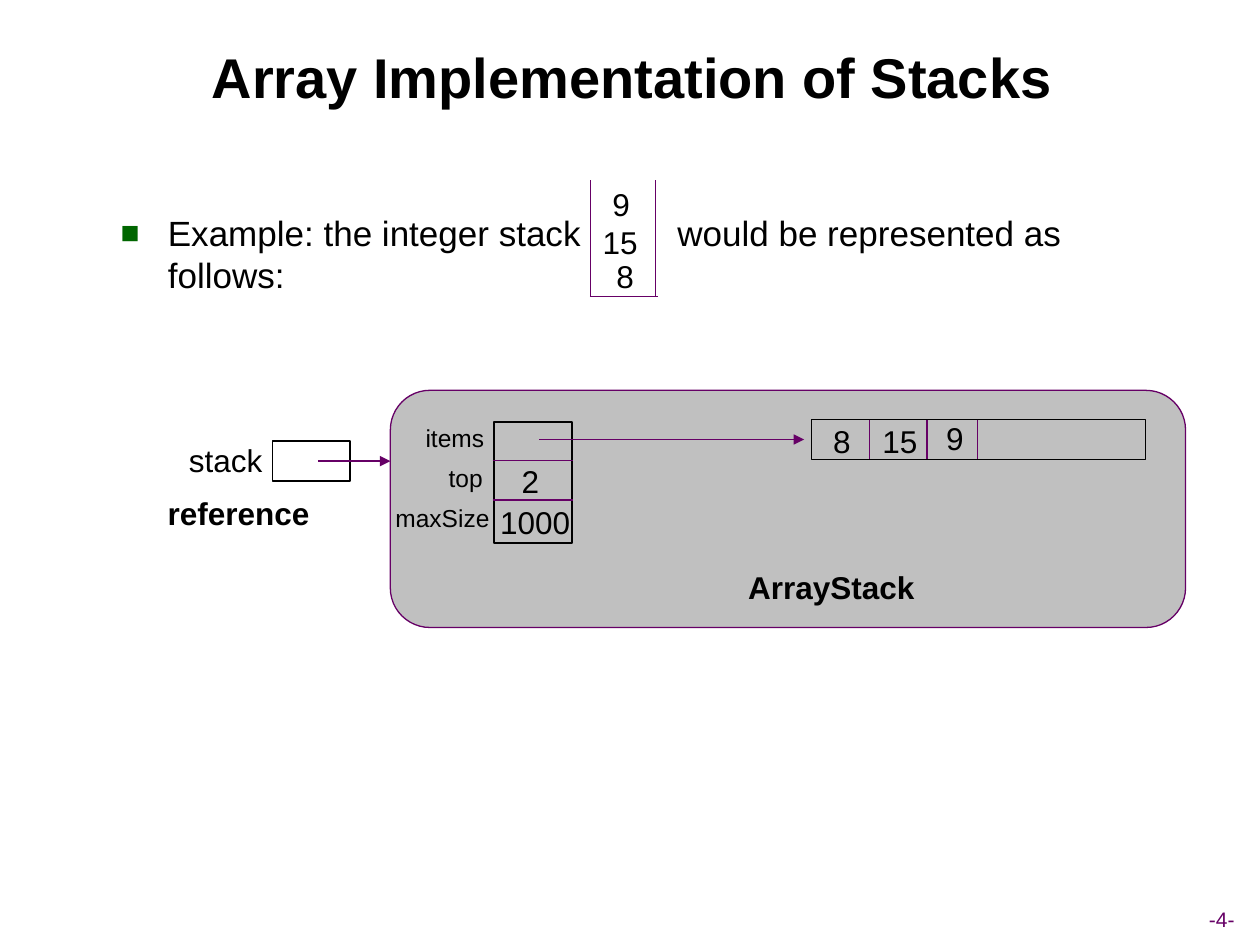
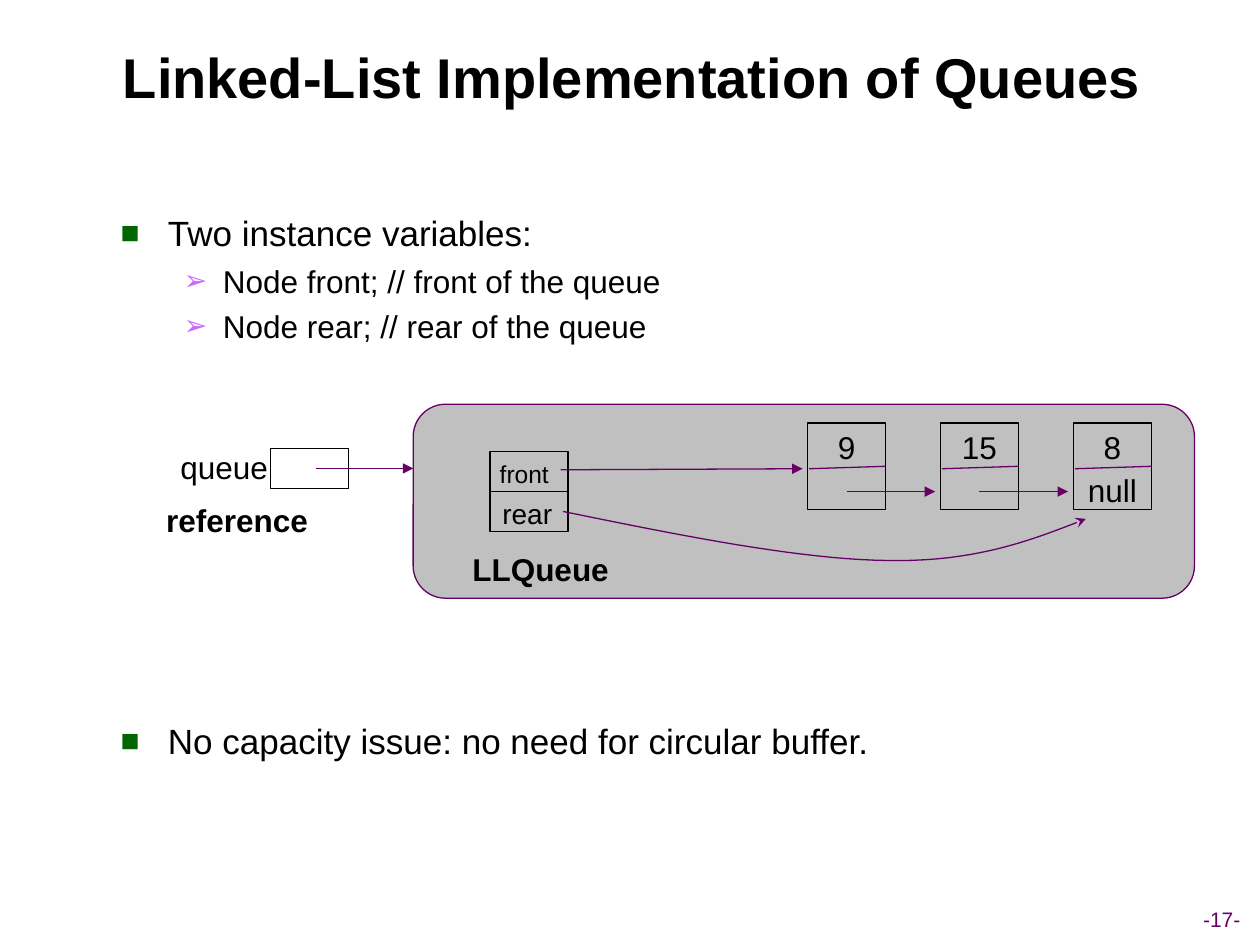
from dataclasses import dataclass

from lxml import etree
from pptx import Presentation
from pptx.dml.color import RGBColor
from pptx.enum import shapes, text
from pptx.oxml import ns
from pptx.util import Cm, Pt


@dataclass(frozen=True)
class Theme:
    font: str = "Arial"
    ink: str = "000000"
    accent: str = "660066"
    panel: str = "C0C0C0"
    title: int = 32
    label: int = 18
    field: int = 14
    page: int = 12
    line: float = 0.75


THEME = Theme()

# Per list level: size, space before, left margin, hanging indent, bullet, bullet colour
LEVELS = [
    (20, 5, 0.95, 0.95, "■", "006600"),
    (18, 4.5, 2.06, 0.79, "➢", "CC66FF"),
]

# Each list item: level, text, space before if not the usual one
STACK = {
    "title": "Array Implementation of Stacks",
    "page": "-4-",
    "items": [(0, "Example: the integer stack\twould be represented as follows:", None)],
    "panel": (7.87, 7.87, 16.03, 4.78),
    "ref": ("stack", 5.49, 8.89),
    "class": ("ArrayStack", 16.76, 11.33),
    "fields": [("items", 9.17), ("top", 9.39), ("maxSize", 8.92)],
    "values": [("2", 10.69, 9.19), ("1000", 10.79, 10.01)],
    "cells": [("8", 16.97, 8.38), ("15", 18.14, 8.38), ("9", 19.25, 8.33)],
    "splits": [17.53, 18.69, 19.71],
    "pile": [("9", 12.52, 3.61), ("15", 12.5, 4.37), ("8", 12.6, 5.05)],
}
QUEUE = {
    "title": "Linked-List Implementation of Queues",
    "page": "-17-",
    "items": [
        (0, "Two instance variables:", None),
        (1, "Node front; // front of the queue", None),
        (1, "Node rear; // rear of the queue", None),
        (0, "No capacity issue: no need for circular buffer.", 214),
    ],
    "panel": (8.33, 8.15, 15.75, 3.91),
    "ref": ("queue", 5.46, 9.04),
    "class": ("LLQueue", 10.9, 10.97),
    "fields": [("front", 10.57, 9.12, 14), ("rear", 10.63, 9.88, 16)],
    "nodes": ["9", "15", "8"],
    "curves": [
        [(11.35, 10.31), (13.74, 10.8), (16.13, 11.28), (17.91, 11.3)],
        [(17.91, 11.3), (19.66, 11.33), (20.78, 10.9), (21.89, 10.46)],
    ],
}
TAB = 11.22
BOX_W, BOX_H = 1.57, 0.81


def color(code):
    return RGBColor.from_string(code)


def add(parent, tag, **attrs):
    return etree.SubElement(parent, ns.qn(tag), attrs)


def style(par, size, tint=THEME.ink, bold=False):
    for run in par.runs:
        font = run.font
        font.name, font.size, font.bold = THEME.font, Pt(size), bold
        font.color.rgb = color(tint)


def place(shape, x, y, w, h):
    shape.left, shape.top, shape.width, shape.height = map(Cm, (x, y, w, h))


def stroke(shape, tint, head=None):
    shape.line.color.rgb = color(tint)
    shape.line.width = Pt(THEME.line)
    if head:
        add(shape.line._get_or_add_ln(), "a:tailEnd", type=head)


def line(slide, x1, y1, x2, y2, head=None):
    link = slide.shapes.add_connector(
        shapes.MSO_CONNECTOR.STRAIGHT, *map(Cm, (x1, y1, x2, y2)))
    stroke(link, THEME.accent, head)
    add(link._element.spPr, "a:effectLst")


def arrow(slide, *ends):
    line(slide, *ends, head="triangle")


def box(slide, x, y, w=BOX_W, h=BOX_H):
    rect = slide.shapes.add_shape(shapes.MSO_SHAPE.RECTANGLE, *map(Cm, (x, y, w, h)))
    rect.shadow.inherit = False
    rect.fill.background()
    stroke(rect, THEME.ink)


def label(slide, words, mid, top, size=THEME.label, bold=False, tint=THEME.ink):
    """Put one line of text centred on mid, in a box with room for the text."""
    wide, high = 0.6 + 0.025 * size * len(words), 0.26 + 0.0425 * size
    item = slide.shapes.add_textbox(*map(Cm, (mid - wide / 2, top, wide, high)))
    frame = item.text_frame
    frame.word_wrap = False
    frame.text = words
    par = frame.paragraphs[0]
    par.alignment = text.PP_ALIGN.CENTER
    style(par, size, tint, bold)


def bullet(par, level, gap):
    size, before, left, hang, mark, tint = LEVELS[level]
    par.level = level
    par.space_before = Pt(gap or before)
    style(par, size)
    props = par._p.get_or_add_pPr()
    props.set("marL", str(Cm(left)))
    props.set("indent", str(-Cm(hang)))
    add(add(props, "a:buClr"), "a:srgbClr", val=tint)
    add(props, "a:buSzPct", val="90000")
    add(props, "a:buFont", typeface=THEME.font)
    add(props, "a:buChar", char=mark)
    if "\t" in par.text:
        add(add(props, "a:tabLst"), "a:tab", pos=str(Cm(TAB)), algn="l")


def start(deck, data):
    """Add a slide with title, list, page number, panel and reference."""
    slide = deck.slides.add_slide(deck.slide_layouts[1])
    title, body = slide.placeholders
    place(title, 0.97, 0.33, 23.55, 2.41)
    title.text_frame.text = data["title"]
    title.text_frame.vertical_anchor = text.MSO_ANCHOR.MIDDLE
    title.text_frame.paragraphs[0].alignment = text.PP_ALIGN.CENTER
    style(title.text_frame.paragraphs[0], THEME.title, bold=True)

    place(body, 2.18, 4.14, 21.29, 13.34)
    frame = body.text_frame
    frame.auto_size = text.MSO_AUTO_SIZE.NONE
    frame.text = "\n".join(words for _, words, _ in data["items"])
    for par, (level, _, gap) in zip(frame.paragraphs, data["items"]):
        bullet(par, level, gap)

    label(slide, data["page"], 24.63, 18.16, THEME.page, tint=THEME.accent)

    panel = slide.shapes.add_shape(
        shapes.MSO_SHAPE.ROUNDED_RECTANGLE, *map(Cm, data["panel"]))
    panel.shadow.inherit = False
    panel.fill.solid()
    panel.fill.fore_color.rgb = color(THEME.panel)
    stroke(panel, THEME.accent)

    name, x, y = data["ref"]
    box(slide, x, y)
    label(slide, name, x - 0.94, y - 0.13)
    label(slide, "reference", x - 0.68, y + 0.94, bold=True)
    mid = y + BOX_H / 2
    arrow(slide, x + 0.92, mid, data["panel"][0], mid)
    label(slide, *data["class"], bold=True)
    return slide


def draw_stack(deck, data):
    slide = start(deck, data)
    x, y, row = 9.96, 8.51, 0.8
    box(slide, x, y, h=2.44)
    for i, (name, mid) in enumerate(data["fields"]):
        label(slide, name, mid, 8.41 + i * row, THEME.field)
        if i:
            edge = y - 0.03 + i * row
            line(slide, x - 0.03, edge, x + BOX_W + 0.03, edge)
    arrow(slide, 10.87, 8.86, 16.21, 8.86)

    box(slide, 16.36, 8.46, 6.73)
    for x in data["splits"]:
        line(slide, x, 8.46, x, 9.25)

    left, right, top, base = 11.91, 13.21, 3.63, 5.98
    for x in (left, right):
        line(slide, x, top, x, base)
    line(slide, left - 0.02, base, right + 0.05, base)
    for item in data["values"] + data["cells"] + data["pile"]:
        label(slide, *item)


def bezier(a, b, c, d, steps=20):
    for i in range(1, steps + 1):
        t = i / steps
        s = 1 - t
        yield tuple(Cm(s**3 * p + 3 * s * s * t * q + 3 * s * t * t * r + t**3 * e)
                    for p, q, r, e in zip(a, b, c, d))


def draw_queue(deck, data):
    slide = start(deck, data)
    for i, item in enumerate(data["fields"]):
        box(slide, 9.88, 9.1 + i * BOX_H)
        label(slide, *item)
    arrow(slide, 11.3, 9.47, 16.18, 9.45)

    x, y, pitch = 16.28, 8.53, 2.68
    last = len(data["nodes"]) - 1
    for i, value in enumerate(data["nodes"]):
        box(slide, x, y, h=1.75)
        mid = x + BOX_W / 2
        label(slide, value, mid, y - 0.03)
        line(slide, x + 0.03, 9.45, x + BOX_W, 9.4)
        if i < last:
            arrow(slide, mid, 9.91, x + pitch - 0.11, 9.91)
        else:
            label(slide, "null", mid, 9.37)
        x += pitch

    curves = data["curves"]
    pen = slide.shapes.build_freeform(*map(Cm, curves[0][0]))
    pen.add_line_segments([p for c in curves for p in bezier(*c)], close=False)
    curve = pen.convert_to_shape()
    curve.shadow.inherit = False
    curve.fill.background()
    stroke(curve, THEME.accent, "stealth")


def main():
    deck = Presentation()
    deck.slide_width, deck.slide_height = Cm(25.4), Cm(19.05)
    draw_stack(deck, STACK)
    draw_queue(deck, QUEUE)
    deck.save("out.pptx")


if __name__ == "__main__":
    main()
